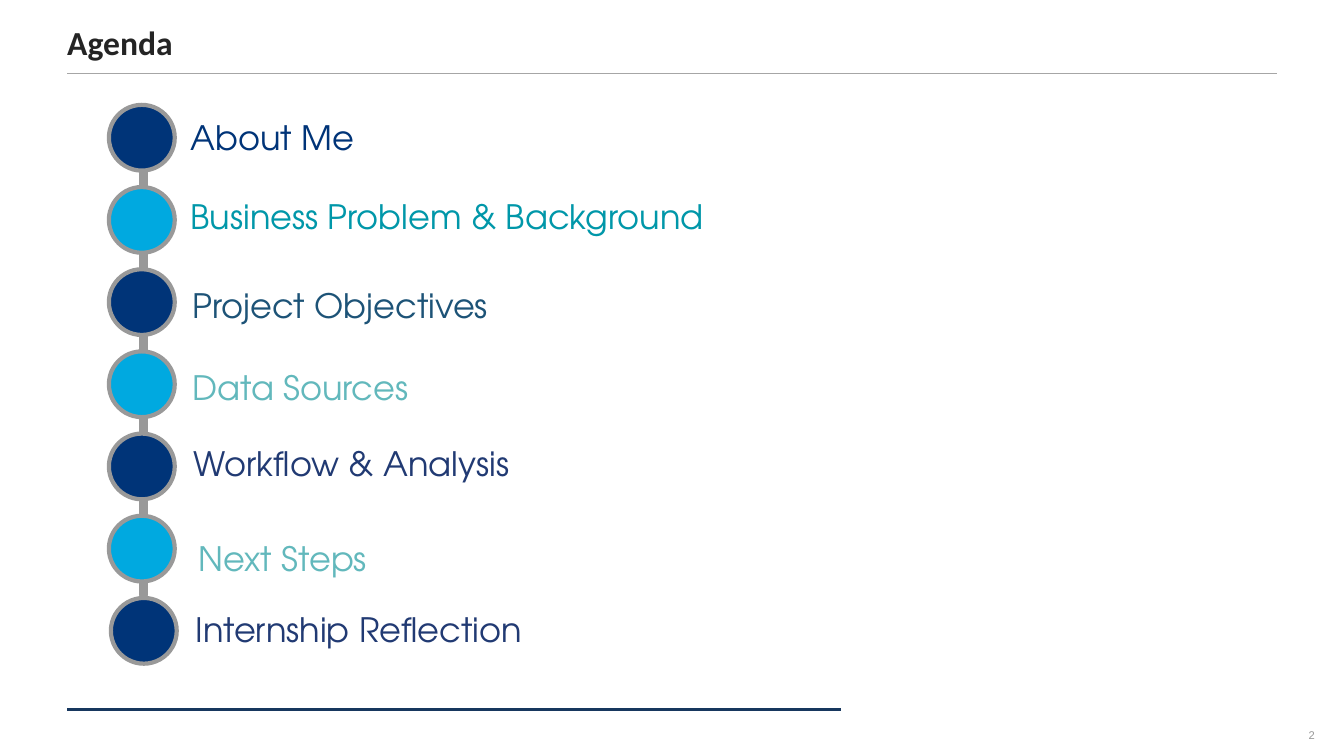
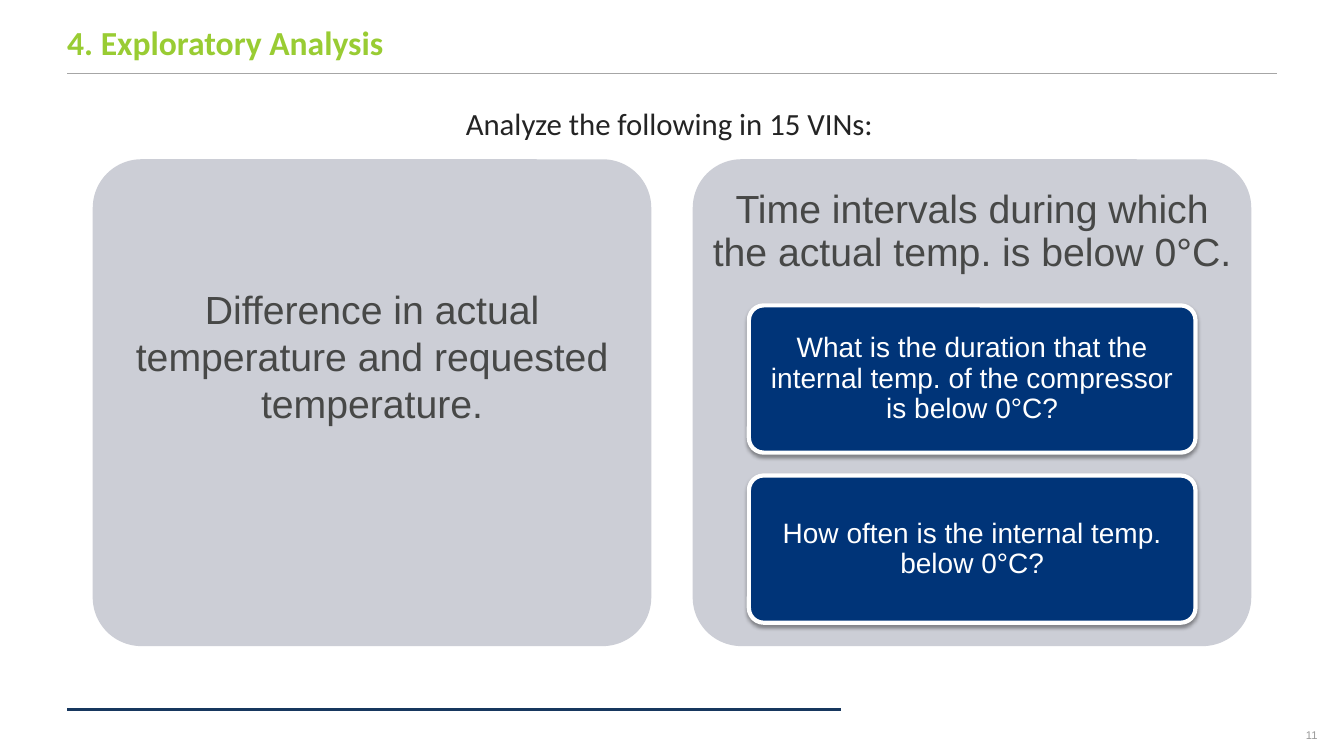
from dataclasses import dataclass

import pptx
import pptx.util
import pptx.dml.color
import pptx.enum.shapes
import pptx.enum.text
import pptx.oxml.ns
from lxml import etree

RGBColor = pptx.dml.color.RGBColor
Pt = pptx.util.Pt
Inches = pptx.util.Inches
Shape = pptx.enum.shapes.MSO_SHAPE
Anchor = pptx.enum.text.MSO_ANCHOR
Align = pptx.enum.text.PP_ALIGN
qn = pptx.oxml.ns.qn

# Colours and fonts
WHITE = RGBColor(0xFF, 0xFF, 0xFF)
INK = RGBColor(0x24, 0x24, 0x24)
SLATE = RGBColor(0x47, 0x48, 0x47)
GREY = RGBColor(0x99, 0x99, 0x99)
RULE = RGBColor(0xA6, 0xA6, 0xA6)
PANEL = RGBColor(0xCC, 0xCE, 0xD6)
NAVY = RGBColor(0x00, 0x34, 0x78)
DEEP = RGBColor(0x17, 0x37, 0x5E)
SKY = RGBColor(0x00, 0xA9, 0xE0)
TEAL = RGBColor(0x00, 0x97, 0xA9)
STEEL = RGBColor(0x1D, 0x53, 0x77)
MINT = RGBColor(0x62, 0xB8, 0xBC)
INDIGO = RGBColor(0x21, 0x3A, 0x73)
LIME = RGBColor(0x99, 0xCC, 0x33)
SANS, BODY, ROUND = "Arial", "Calibri", "TeX Gyre Adventor"

WIDE, HIGH = Inches(13.33), Inches(7.5)


@dataclass(frozen=True)
class Box:
    """Left, top, width and height in percent of the slide."""
    x: float
    y: float
    w: float
    h: float

    def emu(self) -> tuple[int, int, int, int]:
        return (int(WIDE * self.x / 100), int(HIGH * self.y / 100),
                int(WIDE * self.w / 100), int(HIGH * self.h / 100))


@dataclass(frozen=True)
class Style:
    font: str
    size: float
    color: RGBColor
    bold: bool = False
    align: Align = Align.CENTER
    anchor: Anchor = Anchor.MIDDLE
    inset: tuple[float, float, float, float] = (0, 0, 0, 0)
    space: float = 1.0


@dataclass(frozen=True)
class Item:
    text: str
    color: RGBColor
    left: float
    mid: float
    dot: float = 8.1


# Shared drawing
def write(shape, text: str, style: Style) -> None:
    frame = shape.text_frame
    frame.text = text
    frame.word_wrap = True
    frame.auto_size = pptx.enum.text.MSO_AUTO_SIZE.NONE
    frame.vertical_anchor = style.anchor
    (frame.margin_left, frame.margin_top,
     frame.margin_right, frame.margin_bottom) = map(Inches, style.inset)
    for para in frame.paragraphs:
        para.alignment = style.align
        para.line_spacing = style.space
        for run in para.runs:
            run.font.name = style.font
            run.font.size = Pt(style.size)
            run.font.bold = style.bold
            run.font.color.rgb = style.color


def label(slide, box: Box, text: str, style: Style) -> None:
    write(slide.shapes.add_textbox(*box.emu()), text, style)


def block(slide, kind: Shape, box: Box, fill: RGBColor,
          line: RGBColor | None = None, width: float = 0):
    shape = slide.shapes.add_shape(kind, *box.emu())
    shape.shadow.inherit = False
    shape.fill.solid()
    shape.fill.fore_color.rgb = fill
    if line is None:
        shape.line.fill.background()
    else:
        shape.line.color.rgb = line
        shape.line.width = Pt(width)
    if kind == Shape.ROUNDED_RECTANGLE:
        shape.adjustments[0] = 0.1
    return shape


def rule(slide, start: float, end: float, y: float,
         color: RGBColor, width: float) -> None:
    x1, top, span, _ = Box(start, y, end - start, 0).emu()
    line = slide.shapes.add_connector(
        pptx.enum.shapes.MSO_CONNECTOR.STRAIGHT, x1, top, x1 + span, top)
    line.line.color.rgb = color
    line.line.width = Pt(width)
    etree.SubElement(line._element.spPr, qn("a:effectLst"))


def shade(shape) -> None:
    """Soft shadow just below the shape."""
    effect = shape._element.spPr.find(qn("a:effectLst"))
    outer = etree.SubElement(
        effect, qn("a:outerShdw"), blurRad=str(Pt(3.1)),
        dist=str(Pt(1.6)), dir=str(90 * 60000), rotWithShape="0")
    tint = etree.SubElement(outer, qn("a:srgbClr"), val="000000")
    etree.SubElement(tint, qn("a:alpha"), val="38000")


def start(deck, title: str, color: RGBColor, page: int):
    """Add a slide with its title, rules and page number."""
    slide = deck.slides.add_slide(deck.slide_layouts.get_by_name("Title Only"))
    rule(slide, 5, 95, 9.73, RULE, 1)
    rule(slide, 5, 62.55, 93.87, DEEP, 2.25)
    head = slide.shapes.title
    head.left, head.top, head.width, head.height = Box(5, 2.13, 90, 6.8).emu()
    write(head, title, Style(BODY, 24, color, True, Align.LEFT,
                             Anchor.BOTTOM, (0, 0.05, 0.1, 0.05)))
    label(slide, Box(95.2, 94.53, 4.8, 5.33), str(page), Style(SANS, 8, GREY))
    return slide


# Agenda
ITEMS = [
    Item("About Me", NAVY, 14.18, 18.07),
    Item("Business Problem & Background", TEAL, 14.18, 28.6),
    Item("Project Objectives", STEEL, 14.33, 40.33),
    Item("Data Sources", MINT, 14.33, 51.13),
    Item("Workflow & Analysis", INDIGO, 14.4, 61.27),
    Item("Next Steps", MINT, 14.78, 73.87),
    Item("Internship Reflection", INDIGO, 14.55, 83.2, 8.25),
]


def agenda(deck) -> None:
    slide = start(deck, "Agenda", INK, 2)
    block(slide, Shape.RECTANGLE, Box(10.43, 14.67, 0.45, 64.13), GREY, GREY, 2)
    first, pitch, tall = 13.87, 10.87, 5.33
    for i, item in enumerate(ITEMS):
        block(slide, Shape.OVAL, Box(item.dot, first + i * pitch, 4.9, 8.7),
              SKY if i % 2 else NAVY, GREY, 3)
        label(slide, Box(item.left, item.mid - tall / 2, 45, tall), item.text,
              Style(ROUND, 24, item.color, align=Align.LEFT))


# Analysis
CARDS = [
    "What is the duration that the internal temp. of the compressor is below 0°C?",
    "How often is the internal temp. below 0°C?",
]


def study(deck) -> None:
    slide = start(deck, "4. Exploratory Analysis", LIME, 11)
    left, top, wide, step = 6.9, 21.07, 41.56, 44.64
    for i in range(2):
        block(slide, Shape.ROUNDED_RECTANGLE,
              Box(left + i * step, top, wide, 64.4), PANEL)
    label(slide, Box(5.18, 13.2, 90, 6.8), "Analyze the following in 15 VINs:",
          Style(BODY, 22, INK, anchor=Anchor.TOP, inset=(0, 0.05, 0.1, 0.05)))
    label(slide, Box(7.35, 37.07, 40.66, 20.13),
          "Difference in actual temperature and requested temperature.",
          Style(SANS, 28, SLATE, anchor=Anchor.TOP,
                inset=(0.1, 0.05, 0.1, 0.05)))
    label(slide, Box(left + step, top, wide, 19.33),
          "Time intervals during which the actual temp. is below 0°C.",
          Style(SANS, 28, SLATE, inset=(0.12,) * 4, space=0.9))
    for i, text in enumerate(CARDS):
        card = block(slide, Shape.ROUNDED_RECTANGLE,
                     Box(55.72, 40.4 + i * 22.5, 33.23, 19.47), NAVY, WHITE, 3)
        shade(card)
        write(card, text, Style(SANS, 20, WHITE, space=0.9,
                                inset=(0.06, 0.04, 0.06, 0.04)))


def main() -> None:
    deck = pptx.Presentation()
    deck.slide_width, deck.slide_height = WIDE, HIGH
    agenda(deck)
    study(deck)
    deck.save("out.pptx")


if __name__ == "__main__":
    main()
